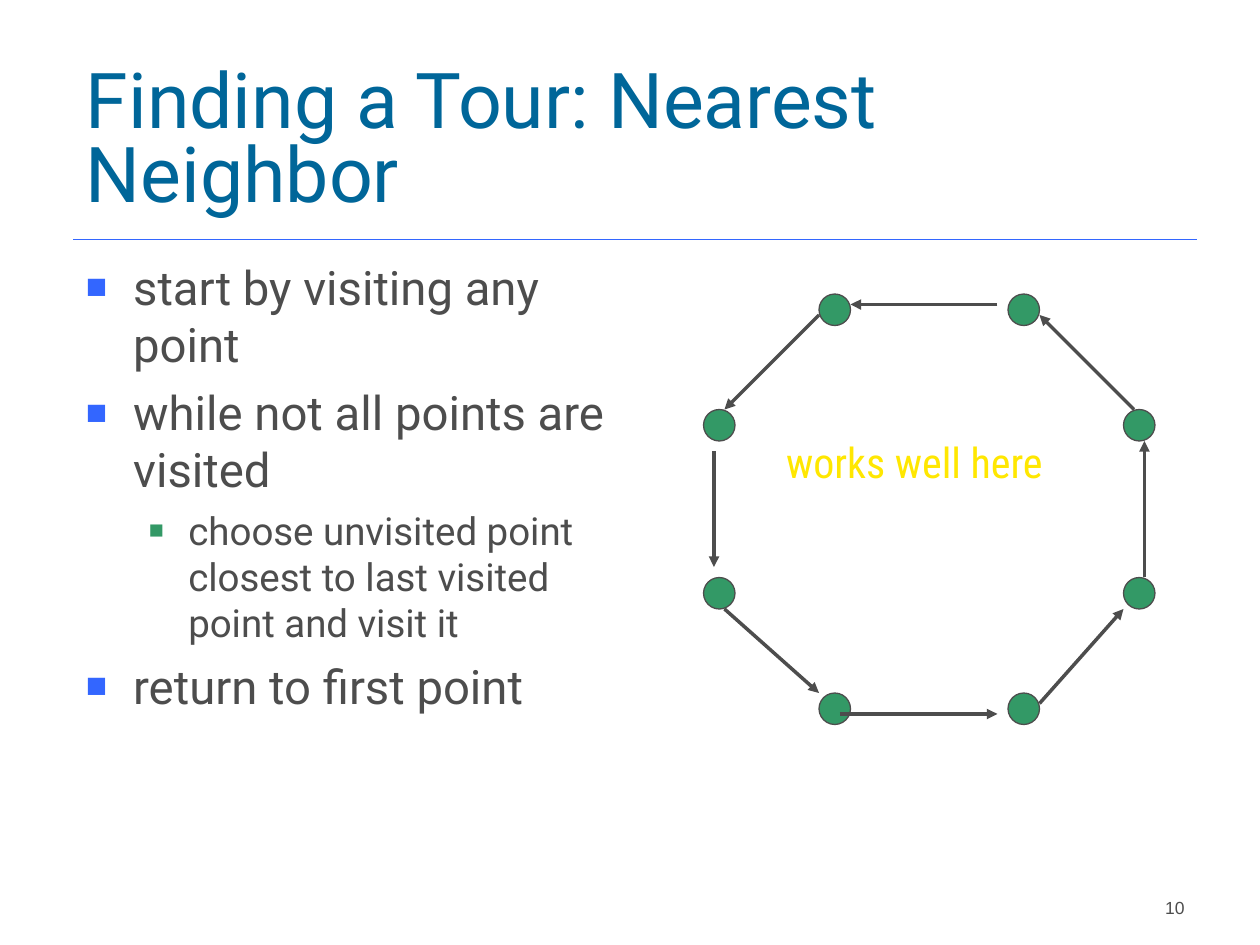
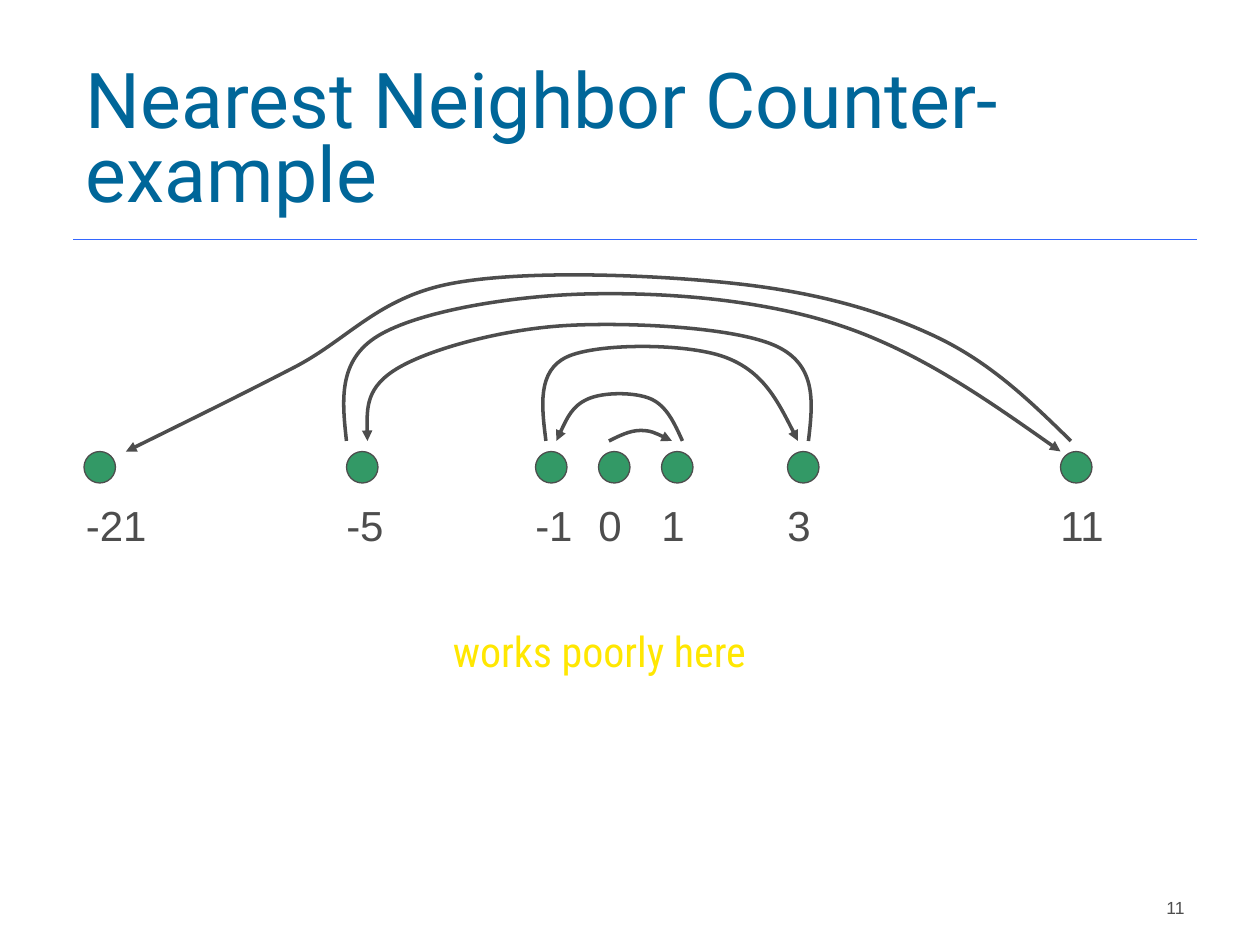
import dataclasses

import lxml.etree
import pptx
import pptx.dml.color
import pptx.enum.shapes
import pptx.enum.text
import pptx.oxml.ns
import pptx.util

COLS, ROWS = 120, 90
CELL = pptx.util.Inches(10) // COLS
DOT = 3
ALIGN = pptx.enum.text.PP_ALIGN
ANCHOR = pptx.enum.text.MSO_ANCHOR
SHAPE = pptx.enum.shapes.MSO_SHAPE
STRAIGHT = pptx.enum.shapes.MSO_CONNECTOR.STRAIGHT
qn = pptx.oxml.ns.qn


@dataclasses.dataclass(frozen=True)
class Font:
    name: str
    size: float
    color: str


@dataclasses.dataclass(frozen=True)
class Bullet:
    font: Font
    color: str
    percent: int
    margin: float
    hang: float
    before: float


class Theme:
    ink = "4D4D4D"
    rule = "3366FF"
    dot = "339966"
    title = Font("Roboto", 44, "006699")
    remark = Font("Roboto Condensed", 24, "FFE701")
    label = Font("Arial", 24, ink)
    number = Font("Arial", 10, ink)
    bullets = (
        Bullet(Font("Roboto", 27, ink), rule, 75, 4.5, 4.5, 6.8),
        Bullet(Font("Roboto", 22, ink), dot, 65, 9.75, 3.75, 5.5),
    )
    thin, rule_width, arrow_width = 0.75, 1, 2


def cells(*values):
    return [round(v * CELL) for v in values]


def rgb(color):
    return pptx.dml.color.RGBColor.from_string(color)


def add_xml(parent, tag, **attributes):
    return lxml.etree.SubElement(parent, qn(tag), attributes)


def spline(knots):
    controls = []
    for (x0, y0), (x1, y1), (x2, y2) in zip(knots, knots[1:], knots[2:]):
        dx, dy = (x2 - x0) / 6, (y2 - y0) / 6
        controls += [(x1 - dx, y1 - dy), (x1, y1), (x1 + dx, y1 + dy)]

    def middle(a, b):
        return (a[0] + b[0]) / 2, (a[1] + b[1]) / 2

    first, last = knots[0], knots[-1]
    return [middle(first, controls[0]), *controls, middle(controls[-1], last), last]


class Deck:
    def __init__(self, theme):
        self.theme = theme
        self.prs = pptx.Presentation()
        self.prs.slide_width = COLS * CELL
        self.prs.slide_height = ROWS * CELL
        self.s = None

    def slide(self, title, number):
        self.s = self.prs.slides.add_slide(self.prs.slide_layouts[6])
        self.line((7, 22.8), (114, 22.8), self.theme.rule, self.theme.rule_width)
        tf = self.text((7, 6.25, 107, 15), title, self.theme.title, anchor=ANCHOR.BOTTOM)
        tf.paragraphs[0].line_spacing = 0.8
        self.text((89, 82, 25, 6), str(number), self.theme.number, ALIGN.RIGHT, ANCHOR.BOTTOM)

    def format(self, p, font):
        for r in p.runs:
            r.font.name = font.name
            r.font.size = pptx.util.Pt(font.size)
            r.font.color.rgb = rgb(font.color)

    def text(self, box, text, font, align=ALIGN.LEFT, anchor=ANCHOR.TOP, wrap=True):
        tf = self.s.shapes.add_textbox(*cells(*box)).text_frame
        tf.word_wrap = wrap
        tf.vertical_anchor = anchor
        tf.text = text
        for p in tf.paragraphs:
            p.alignment = align
            self.format(p, font)
        return tf

    def remark(self, left, top, text):
        self.text((left, top, 38.2, 11.3), text, self.theme.remark, ALIGN.CENTER, wrap=False)

    def bullets(self, box, items):
        tf = self.s.shapes.add_textbox(*cells(*box)).text_frame
        tf.word_wrap = True
        tf.text = "\n".join(text for _, text in items)
        for p, (level, _) in zip(tf.paragraphs, items):
            style = self.theme.bullets[level]
            self.format(p, style.font)
            p.level = level
            p.space_before = pptx.util.Pt(style.before)
            margin, hang = cells(style.margin, style.hang)
            pPr = p._p.get_or_add_pPr()
            pPr.set("marL", str(margin))
            pPr.set("indent", str(-hang))
            add_xml(add_xml(pPr, "a:buClr"), "a:srgbClr", val=style.color)
            add_xml(pPr, "a:buSzPct", val=str(style.percent * 1000))
            add_xml(pPr, "a:buFont", typeface="Arial")
            add_xml(pPr, "a:buChar", char="■")

    def tabbed(self, box, labels, columns):
        tf = self.text(box, "\t".join(labels), self.theme.label)
        start = cells(box[0])[0] + tf.margin_left
        tabs = add_xml(tf.paragraphs[0]._p.get_or_add_pPr(), "a:tabLst")
        for column in columns[1:]:
            add_xml(tabs, "a:tab", pos=str(cells(column)[0] - start), algn="l")

    def dot(self, left, top):
        sp = self.s.shapes.add_shape(SHAPE.OVAL, *cells(left, top, DOT, DOT))
        sp.shadow.inherit = False
        sp.fill.solid()
        sp.fill.fore_color.rgb = rgb(self.theme.dot)
        self.stroke(sp, self.theme.ink, self.theme.thin)

    def stroke(self, sp, color, width, arrow=False):
        sp.line.color.rgb = rgb(color)
        sp.line.width = pptx.util.Pt(width)
        if arrow:
            add_xml(sp.line._get_or_add_ln(), "a:tailEnd", type="triangle")

    def line(self, start, end, color, width, arrow=False):
        sp = self.s.shapes.add_connector(STRAIGHT, *cells(*start, *end))
        self.stroke(sp, color, width, arrow)
        add_xml(sp._element.spPr, "a:effectLst")

    def arrow(self, start, end):
        self.line(start, end, self.theme.ink, self.theme.arrow_width, arrow=True)

    def curve(self, knots):
        builder = self.s.shapes.build_freeform(*cells(*knots[0]))
        builder.add_line_segments([cells(*point) for point in spline(knots)], close=False)
        sp = builder.convert_to_shape()
        segments = list(sp._element.iter(qn("a:lnTo")))
        outline = segments[0].getparent()
        for i in range(0, len(segments), 3):
            bezier = add_xml(outline, "a:cubicBezTo")
            for segment in segments[i:i + 3]:
                bezier.append(segment[0])
                outline.remove(segment)
        sp.shadow.inherit = False
        sp.fill.background()
        self.stroke(sp, self.theme.ink, self.theme.arrow_width, arrow=True)


def tour_slide(deck):
    deck.slide("Finding a Tour: Nearest Neighbor", 10)
    deck.bullets((7, 24, 52.4, 53), [
        (0, "start by visiting any point"),
        (0, "while not all points are visited"),
        (1, "choose unvisited point closest to last visited point and visit it"),
        (0, "return to first point"),
    ])
    for columns, rows in (((78, 96), (28, 66)), ((67, 107), (39, 55))):
        for left in columns:
            for top in rows:
                deck.dot(left, top)
    deck.remark(68, 41, "works well here")
    for start, end in (
        ((78, 30), (69, 39)),
        ((68, 43), (68, 54)),
        ((69, 58), (78, 66)),
        ((80, 68), (95, 68)),
        ((99, 67), (107, 58)),
        ((109, 55), (109, 42)),
        ((108, 39), (99, 30)),
        ((95, 29), (81, 29)),
    ):
        deck.arrow(start, end)


def counterexample_slide(deck):
    deck.slide("Nearest Neighbor Counter-example", 11)
    points = {"-21": 8, "-5": 33, "-1": 51, "0": 57, "1": 63, "3": 75, "11": 101}
    for left in points.values():
        deck.dot(left, 43)
    deck.tabbed((7, 47, 102, 6), list(points), list(points.values()))
    for knots in (
        [(58, 42), (61, 41), (64, 42)],
        [(65, 42), (62, 38), (56, 38), (53, 42)],
        [(52, 42), (54, 34), (69, 34), (76, 42)],
        [(77, 42), (74, 33), (54, 31), (38, 35), (35, 42)],
        [(33, 42), (36, 32), (56, 28), (80, 31), (101, 43)],
        [(102, 42), (89, 32), (70, 27), (43, 27), (28, 35), (12, 43)],
    ):
        deck.curve(knots)
    deck.remark(38, 59, "works poorly here")


def main():
    deck = Deck(Theme())
    tour_slide(deck)
    counterexample_slide(deck)
    deck.prs.save("out.pptx")


if __name__ == "__main__":
    main()
